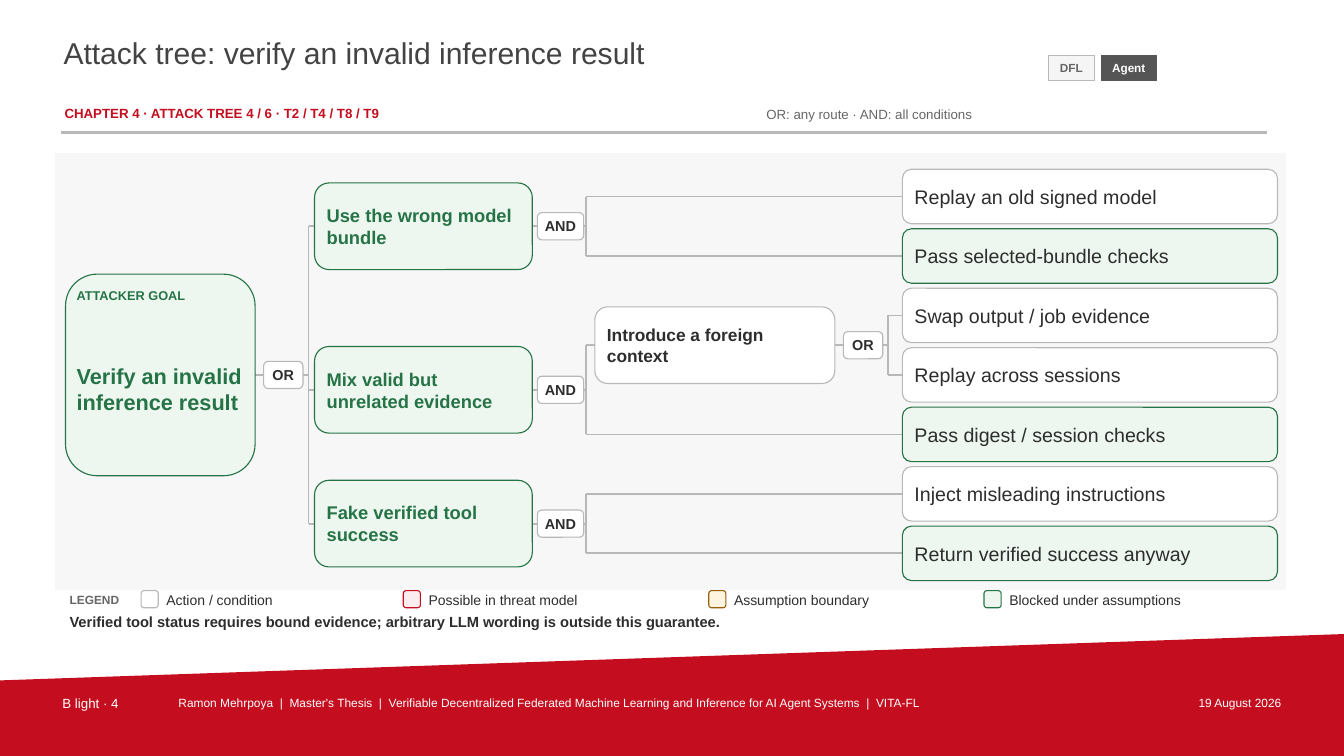
from dataclasses import dataclass
from typing import NamedTuple

from lxml.etree import SubElement
from pptx import Presentation
from pptx.dml.color import RGBColor
from pptx.enum.shapes import MSO_CONNECTOR, MSO_SHAPE
from pptx.enum.text import MSO_ANCHOR, MSO_AUTO_SIZE, PP_ALIGN
from pptx.oxml.ns import qn
from pptx.util import Emu, Pt

EMU_PER_PX = 9144  # 100 px to the inch


class Tone(NamedTuple):
    fill: str
    line: str


@dataclass(frozen=True)
class Theme:
    font: str = "Arial"
    red: str = "C40D1E"
    green: str = "267347"
    ink: str = "2D2D2D"
    heading: str = "434343"
    muted: str = "666666"
    white: str = "FFFFFF"
    grey: str = "B8B8B8"
    action: Tone = Tone("FFFFFF", "B8B8B8")
    possible: Tone = Tone("FBECEF", "C40D1E")
    assumption: Tone = Tone("FFF4DF", "94600B")
    blocked: Tone = Tone("EDF7EF", "267347")
    rule: Tone = Tone("B8B8B8", "B8B8B8")
    panel: Tone = Tone("F7F7F7", "F7F7F7")
    light_chip: Tone = Tone("F5F5F5", "B8B8B8")
    dark_chip: Tone = Tone("555555", "555555")
    title_size: float = 21.5
    label_size: float = 9.5
    small_size: float = 8.5
    chip_size: float = 8.4
    gate_size: float = 10.3
    goal_label_size: float = 9.1
    legend_size: float = 10
    note_size: float = 10.5


THEME = Theme()


class Box(NamedTuple):
    x: float
    y: float
    width: float
    height: float


class Level(NamedTuple):
    """Column of the tree: place, node size and text format."""
    x: int
    width: int
    height: int
    size: float
    bold: bool = True
    padding: int = 12
    top_margin: int = 0


GOAL = Level(65, 188, 200, 15.5, padding=11, top_margin=28)
BRANCH = Level(312, 216, 86, 13.1)
CONTEXT = Level(590, 238, 76, 12.4)
LEAF = Level(895, 372, 54, 14, bold=False)
FIRST_LEAF_Y, LEAF_STEP = 195, 59
GATE_OFFSET, TRUNK_OFFSET, GATE_HEIGHT = 28, 53, 27
GATE_WIDTHS = {"AND": 46, "OR": 39}
CORNER_INSET = 0.049  # text inset of a rounded rectangle, per unit of short side


@dataclass
class Node:
    text: str
    level: Level = LEAF
    tone: Tone = THEME.action
    colour: str = THEME.ink
    gate: str = ""
    children: tuple["Node", ...] = ()
    centre: float = 0

    @property
    def right(self) -> int:
        return self.level.x + self.level.width


def goal_node(text: str, level: Level, gate: str, *children: Node) -> Node:
    return Node(text, level, THEME.blocked, THEME.green, gate, children)


TREE = goal_node(
    "Verify an invalid inference result", GOAL, "OR",
    goal_node("Use the wrong model bundle", BRANCH, "AND",
              Node("Replay an old signed model"),
              Node("Pass selected-bundle checks", tone=THEME.blocked)),
    goal_node("Mix valid but unrelated evidence", BRANCH, "AND",
              Node("Introduce a foreign context", CONTEXT, gate="OR", children=(
                  Node("Swap output / job evidence"),
                  Node("Replay across sessions"))),
              Node("Pass digest / session checks", tone=THEME.blocked)),
    goal_node("Fake verified tool success", BRANCH, "AND",
              Node("Inject misleading instructions"),
              Node("Return verified success anyway", tone=THEME.blocked)))

LEGEND = ((140, "Action / condition", THEME.action),
          (400, "Possible in threat model", THEME.possible),
          (703, "Assumption boundary", THEME.assumption),
          (976, "Blocked under assumptions", THEME.blocked))


def px(value: float) -> Emu:
    return Emu(round(value * EMU_PER_PX))


def rgb(value: str) -> RGBColor:
    return RGBColor.from_string(value)


def write(shape, text: str, *, size: float, colour: str, bold: bool = False,
          align=PP_ALIGN.LEFT, anchor=MSO_ANCHOR.MIDDLE, margins=(0, 0, 0, 0)) -> None:
    """Fill a shape with one paragraph; margins are left, top, right, bottom."""
    frame = shape.text_frame
    frame.word_wrap = True
    frame.auto_size = MSO_AUTO_SIZE.NONE
    frame.vertical_anchor = anchor
    (frame.margin_left, frame.margin_top,
     frame.margin_right, frame.margin_bottom) = map(px, margins)
    paragraph = frame.paragraphs[0]
    paragraph.alignment = align
    run = paragraph.add_run()
    run.text = text
    run.font.name, run.font.size, run.font.bold = THEME.font, Pt(size), bold
    run.font.color.rgb = rgb(colour)


def add_text(slide, box: Box, text: str, **text_format) -> None:
    write(slide.shapes.add_textbox(*map(px, box)), text, **text_format)


def add_box(slide, box: Box, tone: Tone, kind=MSO_SHAPE.ROUNDED_RECTANGLE, line_width=0.8):
    shape = slide.shapes.add_shape(kind, *map(px, box))
    shape.shadow.inherit = False
    shape.fill.solid()
    shape.fill.fore_color.rgb = rgb(tone.fill)
    shape.line.color.rgb = rgb(tone.line)
    shape.line.width = Pt(line_width)
    return shape


def add_line(slide, x1: float, y1: float, x2: float, y2: float) -> None:
    line = slide.shapes.add_connector(MSO_CONNECTOR.STRAIGHT, *map(px, (x1, y1, x2, y2)))
    line.line.color.rgb = rgb(THEME.grey)
    line.line.width = Pt(1.25)
    SubElement(line._element.spPr, qn("a:effectLst"))


def place(node: Node, leaf_count: int = 0) -> int:
    """Set vertical centres below a node and return the number of leaves so far."""
    if not node.children:
        node.centre = FIRST_LEAF_Y + LEAF_STEP * leaf_count
        return leaf_count + 1
    for child in node.children:
        leaf_count = place(child, leaf_count)
    node.centre = (node.children[0].centre + node.children[-1].centre) / 2
    return leaf_count


def draw_links(slide, node: Node) -> None:
    if not node.children:
        return
    trunk = node.right + TRUNK_OFFSET
    add_line(slide, node.right, node.centre, trunk, node.centre)
    add_line(slide, trunk, node.children[0].centre, trunk, node.children[-1].centre)
    for child in node.children:
        add_line(slide, trunk, child.centre, child.level.x, child.centre)
        draw_links(slide, child)
    width = GATE_WIDTHS[node.gate]
    gate = add_box(slide, Box(node.right + GATE_OFFSET - width / 2,
                              node.centre - GATE_HEIGHT / 2, width, GATE_HEIGHT), THEME.action)
    write(gate, node.gate, size=THEME.gate_size, colour=THEME.ink, bold=True,
          align=PP_ALIGN.CENTER)


def draw_nodes(slide, node: Node) -> None:
    level = node.level
    shape = add_box(slide, Box(level.x, node.centre - level.height / 2,
                               level.width, level.height), node.tone)
    side = level.padding - CORNER_INSET * min(level.width, level.height)
    write(shape, node.text, size=level.size, colour=node.colour, bold=level.bold,
          margins=(side, level.top_margin, side, 0))
    for child in node.children:
        draw_nodes(slide, child)


def draw_header(slide) -> None:
    title = slide.shapes.title
    title.left, title.top, title.width, title.height = map(px, Box(61, 32, 965, 62))
    top_left = dict(anchor=MSO_ANCHOR.TOP, margins=(2, 2, 2, 2))
    write(title, "Attack tree: verify an invalid inference result",
          size=THEME.title_size, colour=THEME.heading, **top_left)
    add_text(slide, Box(62, 102, 680, 22), "CHAPTER 4 · ATTACK TREE 4 / 6 · T2 / T4 / T8 / T9",
             size=THEME.label_size, colour=THEME.red, bold=True, **top_left)
    add_text(slide, Box(760, 102, 379, 22), "OR: any route · AND: all conditions",
             size=THEME.label_size, colour=THEME.muted)
    add_box(slide, Box(61, 130, 1195, 2), THEME.rule, MSO_SHAPE.RECTANGLE, 0.5)
    for x, width, text, tone, colour in ((1040, 45, "DFL", THEME.light_chip, THEME.muted),
                                         (1092, 55, "Agent", THEME.dark_chip, THEME.white)):
        chip = add_box(slide, Box(x, 55, width, 25), tone, MSO_SHAPE.RECTANGLE, 0.55)
        write(chip, text, size=THEME.chip_size, colour=colour, bold=True, align=PP_ALIGN.CENTER)


def draw_legend(slide) -> None:
    add_text(slide, Box(69, 584, 64, 22), "LEGEND",
             size=THEME.small_size, colour=THEME.muted, bold=True)
    for x, text, tone in LEGEND:
        add_box(slide, Box(x, 586, 17, 17), tone)
        add_text(slide, Box(x + 25, 584, 212, 22), text, size=THEME.legend_size, colour=THEME.ink)
    add_text(slide, Box(69, 606, 1196, 21), "Verified tool status requires bound evidence; "
             "arbitrary LLM wording is outside this guarantee.",
             size=THEME.note_size, colour=THEME.ink, bold=True)


def draw_footer(slide) -> None:
    outline = slide.shapes.build_freeform(0, 675, scale=EMU_PER_PX)
    outline.add_line_segments([(1333, 629), (1333, 750), (0, 750)], close=True)
    band = outline.convert_to_shape()
    band.shadow.inherit = False
    band.fill.solid()
    band.fill.fore_color.rgb = rgb(THEME.red)
    band.line.fill.background()
    thesis = ("Ramon Mehrpoya  |  Master's Thesis  |  Verifiable Decentralized Federated Machine "
              "Learning and Inference for AI Agent Systems  |  VITA-FL")
    for x, width, text, size, align in (
            (60, 110, "B light · 4", THEME.label_size, PP_ALIGN.LEFT),
            (175, 935, thesis, THEME.small_size, PP_ALIGN.LEFT),
            (1120, 153, "19 August 2026", THEME.small_size, PP_ALIGN.RIGHT)):
        add_text(slide, Box(x, 688, width, 22), text, size=size, colour=THEME.white,
                 align=align, anchor=MSO_ANCHOR.TOP, margins=(2, 2, 2, 2))


def main() -> None:
    presentation = Presentation()
    presentation.slide_width, presentation.slide_height = px(1333), px(750)
    slide = presentation.slides.add_slide(presentation.slide_layouts[5])
    draw_footer(slide)
    draw_header(slide)
    add_box(slide, Box(55, 152, 1220, 433), THEME.panel, MSO_SHAPE.RECTANGLE, 0.5)
    place(TREE)
    draw_links(slide, TREE)
    draw_nodes(slide, TREE)
    add_text(slide, Box(76, 283, 166, 20), "ATTACKER GOAL",
             size=THEME.goal_label_size, colour=THEME.green, bold=True)
    draw_legend(slide)
    presentation.save("out.pptx")


if __name__ == "__main__":
    main()
